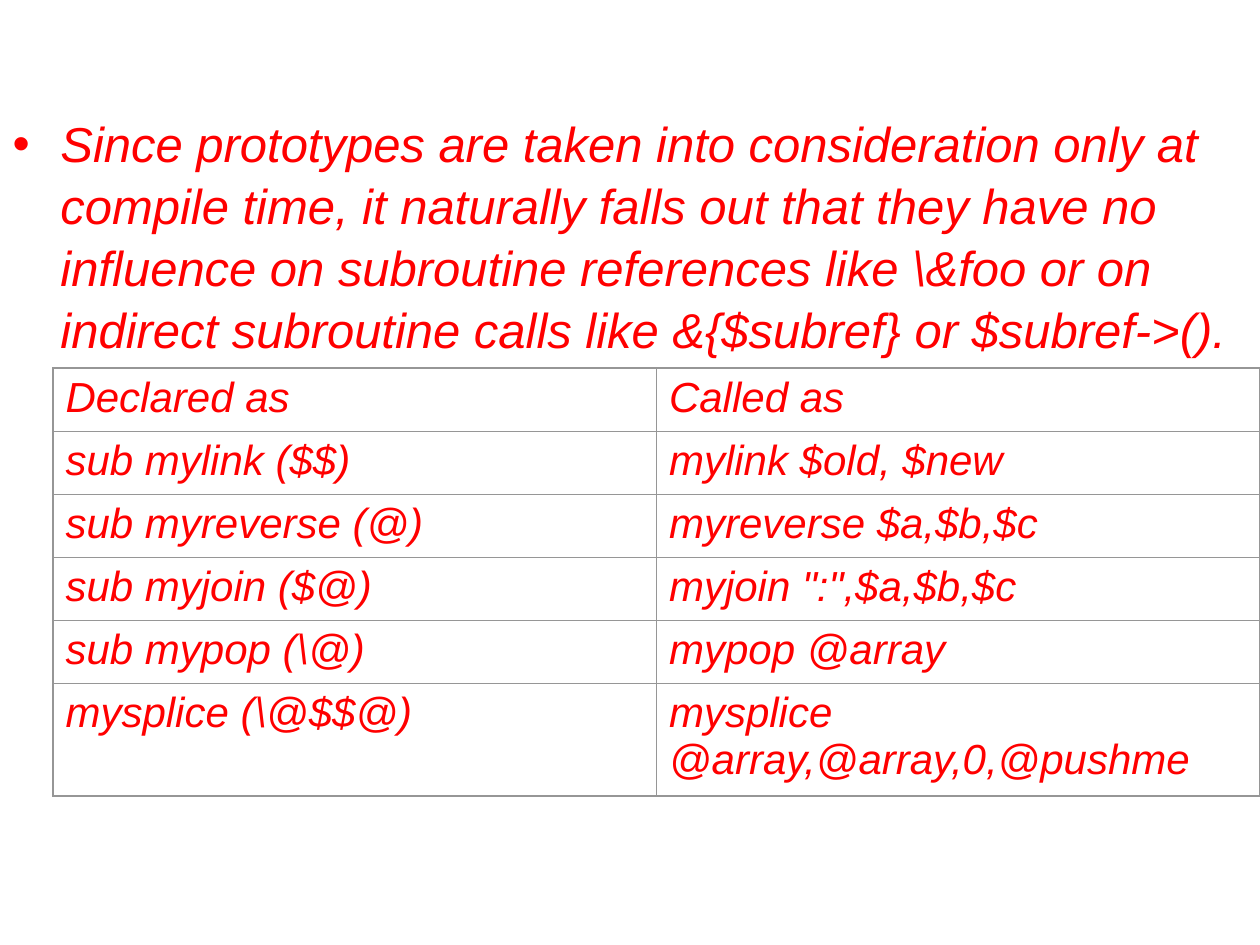
"""Build a slide on Perl prototypes: one remark and a table of declarations and calls."""
from dataclasses import dataclass

from lxml.etree import SubElement
from pptx import Presentation
from pptx.dml.color import RGBColor
from pptx.enum.text import MSO_ANCHOR, MSO_AUTO_SIZE, PP_ALIGN
from pptx.oxml.ns import qn
from pptx.util import Inches, Pt

REMARK = (
    "Since prototypes are taken into consideration only at compile time, "
    "it naturally falls out that they have no influence on subroutine "
    "references like \\&foo or on indirect subroutine calls like "
    "&{$subref} or $subref->()."
)
CALLS = [
    ("Declared as", "Called as"),
    ("sub mylink ($$)", "mylink $old, $new"),
    ("sub myreverse (@)", "myreverse $a,$b,$c"),
    ("sub myjoin ($@)", 'myjoin ":",$a,$b,$c'),
    ("sub mypop (\\@)", "mypop @array"),
    ("mysplice (\\@$$@)", "mysplice @array,@array,0,@pushme"),
]
ROW_HEIGHTS = [0.5] * 5 + [0.9]
COLUMN_WIDTH = 4.79


@dataclass(frozen=True)
class Theme:
    font: str = "Arial"
    ink: str = "FF0000"
    rule: str = "969696"
    remark_size: int = 28
    cell_size: int = 24
    inner_rule: float = 0.45
    outer_rule: float = 1.08


THEME = Theme()


def style(paragraph, size):
    paragraph.alignment = PP_ALIGN.LEFT
    paragraph.space_before = Pt(0)
    font = paragraph.font
    font.name, font.size, font.italic, font.bold = THEME.font, Pt(size), True, False
    font.color.rgb = RGBColor.from_string(THEME.ink)


def add_border(cell, side, outer):
    width = Pt(THEME.outer_rule if outer else THEME.inner_rule)
    line = SubElement(cell._tc.get_or_add_tcPr(), qn(f"a:ln{side}"), w=str(width))
    SubElement(SubElement(line, qn("a:solidFill")), qn("a:srgbClr"), val=THEME.rule)


def add_remark(slide):
    body = slide.placeholders[1]
    body.left, body.top = Inches(0), Inches(0.83)
    body.width, body.height = Inches(10), Inches(2.42)
    frame = body.text_frame
    frame.auto_size = MSO_AUTO_SIZE.NONE
    frame.vertical_anchor = MSO_ANCHOR.TOP
    frame.text = REMARK
    remark = frame.paragraphs[0]
    indent = remark._p.get_or_add_pPr()
    indent.set("marL", str(Inches(0.38)))
    indent.set("indent", str(-Inches(0.38)))
    remark.line_spacing = 1.05
    SubElement(indent, qn("a:buChar"), char="•")
    style(remark, THEME.remark_size)


def add_calls(slide):
    rows, columns = len(CALLS), len(CALLS[0])
    table = slide.shapes.add_table(
        rows, columns, Inches(0.42), Inches(2.92),
        Inches(COLUMN_WIDTH * columns), Inches(sum(ROW_HEIGHTS)),
    ).table
    table.first_row = table.horz_banding = False
    for column in table.columns:
        column.width = Inches(COLUMN_WIDTH)
    for r, (call, height) in enumerate(zip(CALLS, ROW_HEIGHTS)):
        table.rows[r].height = Inches(height)
        for c, code in enumerate(call):
            cell = table.cell(r, c)
            cell.text = code
            style(cell.text_frame.paragraphs[0], THEME.cell_size)
            add_border(cell, "L", c == 0)
            add_border(cell, "R", c == columns - 1)
            add_border(cell, "T", r == 0)
            add_border(cell, "B", r == rows - 1)
            cell.fill.background()


def main():
    deck = Presentation()
    deck.slide_width, deck.slide_height = Inches(10), Inches(7.5)
    slide = deck.slides.add_slide(deck.slide_layouts[1])
    title = slide.shapes.title.element
    title.getparent().remove(title)
    add_remark(slide)
    add_calls(slide)
    deck.save("out.pptx")


if __name__ == "__main__":
    main()
